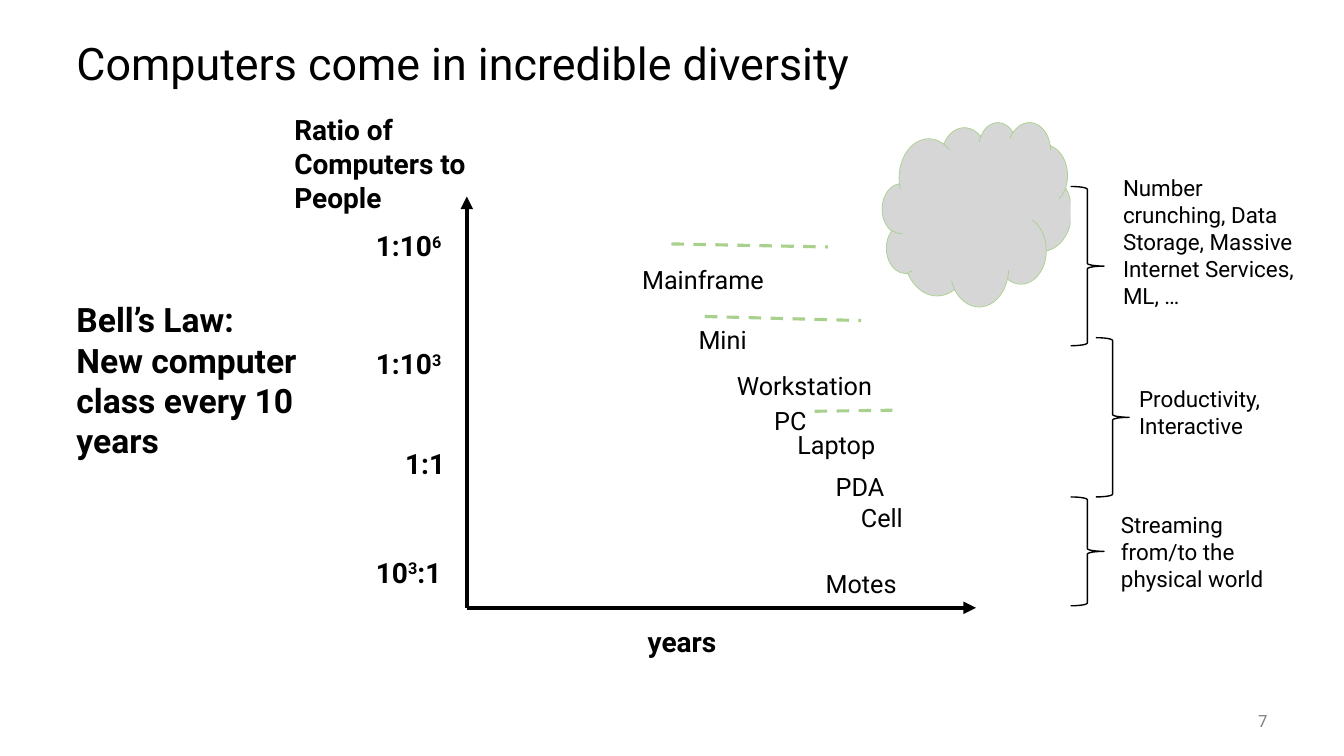
from lxml import etree
from pptx import Presentation
from pptx.dml.color import RGBColor
from pptx.enum.dml import MSO_LINE
from pptx.enum.shapes import MSO_CONNECTOR, MSO_SHAPE
from pptx.enum.text import MSO_ANCHOR, PP_ALIGN
from pptx.oxml.ns import qn
from pptx.util import Inches, Pt

LEFT, CENTER, RIGHT = PP_ALIGN.LEFT, PP_ALIGN.CENTER, PP_ALIGN.RIGHT
TOP, MIDDLE = MSO_ANCHOR.TOP, MSO_ANCHOR.MIDDLE
STRAIGHT, DASH = MSO_CONNECTOR.STRAIGHT, MSO_LINE.DASH
CLOUD, RIGHT_BRACE = MSO_SHAPE.CLOUD, MSO_SHAPE.RIGHT_BRACE

FONT = "Roboto"
COLORS = {"black": "000000", "white": "FFFFFF", "gray": "808080", "green": "A9D18E"}
COLORS = {name: RGBColor.from_string(code) for name, code in COLORS.items()}

prs = Presentation()
prs.slide_width, prs.slide_height = Inches(13.33), Inches(7.5)
slide = prs.slides.add_slide(prs.slide_layouts[6])
shapes = slide.shapes


def add_text(place, paragraphs, size, bold=False, color="black", align=LEFT, anchor=TOP):
    """Each paragraph is a list of runs; every second run is a superscript."""
    frame = shapes.add_textbox(*map(Inches, place)).text_frame
    frame.word_wrap = True
    frame.vertical_anchor = anchor
    for number, runs in enumerate(paragraphs):
        paragraph = frame.add_paragraph() if number else frame.paragraphs[0]
        paragraph.alignment = align
        for position, text in enumerate(runs):
            run = paragraph.add_run()
            run.text = text
            run.font.name, run.font.size, run.font.bold = FONT, Pt(size), bold
            run.font.color.rgb = COLORS[color]
            if position % 2:
                run.font._element.set("baseline", "30000")


def add_line(start, end, color, width):
    line = shapes.add_connector(STRAIGHT, *map(Inches, start + end))
    line.line.color.rgb = COLORS[color]
    line.line.width = Pt(width)
    etree.SubElement(line._element.spPr, qn("a:effectLst"))
    return line


# Title and slide number
add_text((0.66, 0.25, 12, 0.75), [["Computers come in incredible diversity"]], 32, anchor=MIDDLE)
add_text((11.67, 6.95, 1, 0.4), [["7"]], 12, color="gray", align=RIGHT, anchor=MIDDLE)

# Axes and their captions
origin = (4.63, 6.03)
for axis_end in [(9.68, 6.03), (4.63, 1.95)]:
    axis = add_line(origin, axis_end, "black", 3)
    etree.SubElement(axis.line._get_or_add_ln(), qn("a:tailEnd"), type="triangle")
add_text((6.21, 6.15, 1.11, 0.44), [["years"]], 20, bold=True, align=CENTER)
add_text((2.82, 1.07, 2.02, 1.11), [["Ratio of Computers to People"]], 20, bold=True)

# Ratios along the vertical axis
ratios = [
    (3.63, 2.22, ["1:10", "6"]),
    (3.63, 3.39, ["1:10", "3"]),
    (3.92, 4.38, ["1:1"]),
    (3.63, 5.46, ["10", "3", ":1"]),
]
for left, top, ratio in ratios:
    add_text((left, top, 1, 0.44), [ratio], 20, bold=True)

# Computer classes
computer_classes = [
    (6.27, 2.57, "Mainframe"),
    (6.83, 3.17, "Mini"),
    (7.21, 3.62, "Workstation"),
    (7.58, 3.97, "PC"),
    (7.81, 4.21, "Laptop"),
    (8.19, 4.63, "PDA"),
    (8.44, 4.93, "Cell"),
    (8.09, 5.59, "Motes"),
]
for left, top, computer_class in computer_classes:
    add_text((left, top, 2, 0.41), [[computer_class]], 18)

# Dashed lines between the classes
for start, end in [
    ((6.66, 2.42), (8.21, 2.45)),
    ((6.99, 3.14), (8.54, 3.18)),
    ((8.08, 4.08), (8.85, 4.07)),
]:
    add_line(start, end, "green", 2.25).line.dash_style = DASH

# Cloud and braces
outlines = [
    (CLOUD, (8.75, 1.21, 1.88, 1.83), "black", "green", 0.5),
    (RIGHT_BRACE, (10.62, 1.85, 0.33, 1.58), "white", "black", 1),
    (RIGHT_BRACE, (10.87, 3.35, 0.33, 1.58), "white", "black", 1),
    (RIGHT_BRACE, (10.62, 4.93, 0.33, 1.08), "white", "black", 1),
]
for kind, place, fill, edge, width in outlines:
    outline = shapes.add_shape(kind, *map(Inches, place))
    outline.shadow.inherit = False
    outline.fill.solid()
    outline.fill.fore_color.rgb = COLORS[fill]
    outline.line.color.rgb = COLORS[edge]
    outline.line.width = Pt(width)
    if kind == CLOUD:
        fill_color = outline._element.spPr.find(qn("a:solidFill"))[0]
        etree.SubElement(fill_color, qn("a:alpha"), val="16000")

# Bell's Law
bells_law = [["Bell’s Law:"], ["New computer class every 10 years"]]
add_text((0.66, 2.92, 3.18 - 0.6, 1.72), bells_law, 24, bold=True)

# Uses beside the braces
uses = [
    ((11.04, 1.68, 1.94, 1.45),
     [["Number crunching, Data Storage, Massive Internet Services,"], ["ML, …"]]),
    ((11.2, 3.77, 1.67, 0.64), [["Productivity,"], ["Interactive"]]),
    ((11.02, 5.02, 1.67, 0.91), [["Streaming from/to the physical world"]]),
]
for place, use in uses:
    add_text(place, use, 16)

prs.save("out.pptx")
